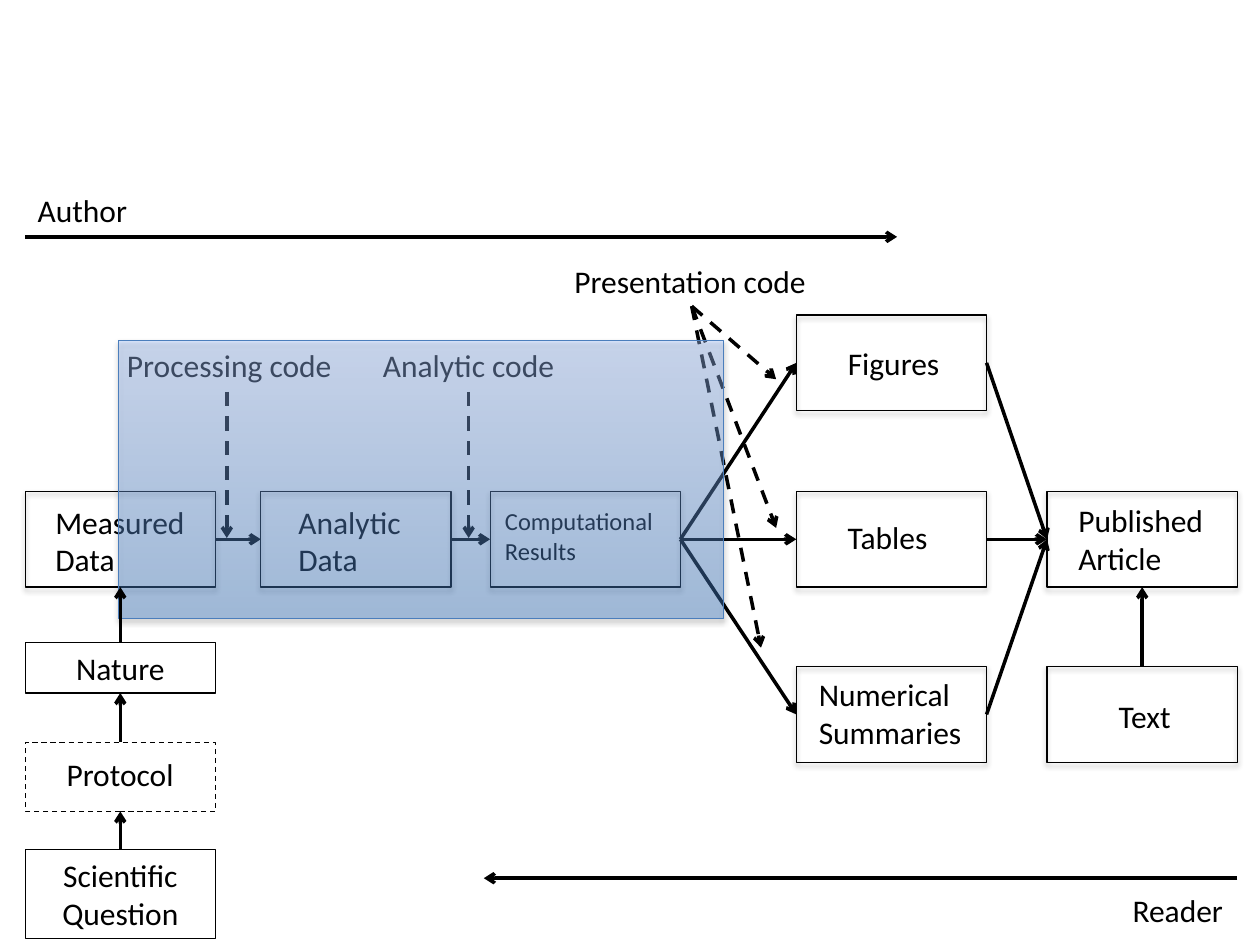
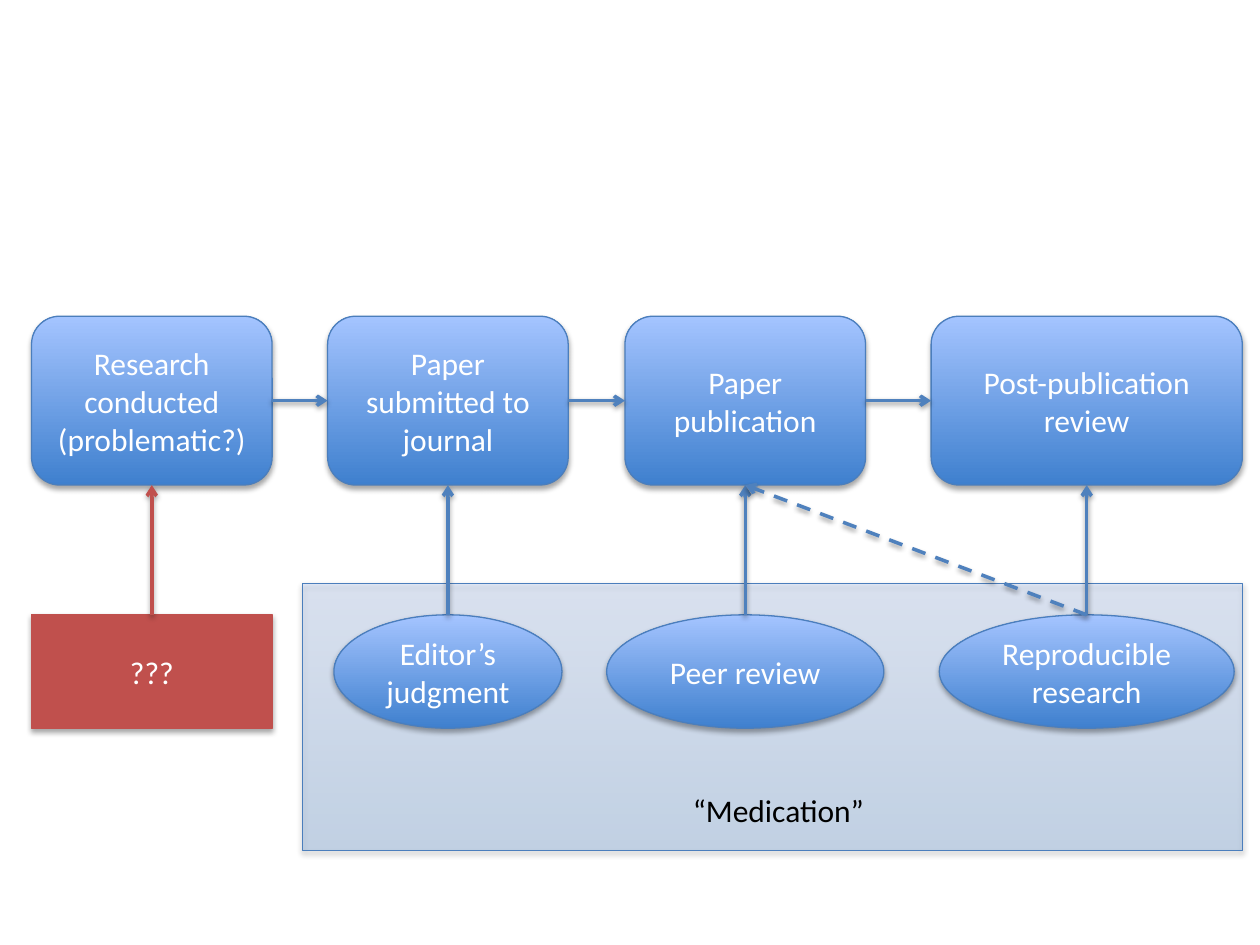
import pptx
import pptx.util
import pptx.dml.color
import pptx.enum.dml
import pptx.enum.shapes
import pptx.enum.text
import pptx.oxml.ns
from lxml import etree

Inches = pptx.util.Inches
Pt = pptx.util.Pt
RGBColor = pptx.dml.color.RGBColor
SHAPE = pptx.enum.shapes.MSO_SHAPE
ALIGN = pptx.enum.text.PP_ALIGN
qn = pptx.oxml.ns.qn

BLACK = RGBColor(0x00, 0x00, 0x00)
WHITE = RGBColor(0xFF, 0xFF, 0xFF)
BLUE = RGBColor(0x4F, 0x81, 0xBD)
BLUE_EDGE = RGBColor(0x4B, 0x7E, 0xBC)
RED = RGBColor(0xC0, 0x50, 0x4D)
GRADIENT = (RGBColor(0x3F, 0x80, 0xCE), RGBColor(0xA4, 0xC4, 0xFF))
FONT = "Calibri"
BLANK_LAYOUT = 6
EMU_PER_POINT = 12700


def add_shadow(effects, opacity, distance):
    """Put a soft black shadow, falling straight down, in an effect list."""
    shadow = etree.SubElement(
        effects, qn("a:outerShdw"), blurRad=str(round(3.1 * EMU_PER_POINT)),
        dist=str(round(distance * EMU_PER_POINT)), dir="5400000", rotWithShape="0")
    color = etree.SubElement(shadow, qn("a:srgbClr"), val=str(BLACK))
    etree.SubElement(color, qn("a:alpha"), val=str(opacity * 1000))


def write_text(frame, text, size=18, color=BLACK, align=ALIGN.LEFT):
    paragraph = frame.paragraphs[0]
    paragraph.text = text
    paragraph.alignment = align
    paragraph.font.size = Pt(size)
    paragraph.font.name = FONT
    paragraph.font.color.rgb = color


def add_label(slide, text, left, top, width, height=0.4, wrap=False, **text_format):
    text_box = slide.shapes.add_textbox(
        Inches(left), Inches(top), Inches(width), Inches(height))
    frame = text_box.text_frame
    frame.word_wrap = wrap
    frame.auto_size = pptx.enum.text.MSO_AUTO_SIZE.SHAPE_TO_FIT_TEXT
    write_text(frame, text, **text_format)


def fill_gradient(shape, opacity):
    """Shade a shape from dark blue at its foot to light blue at its top."""
    shape.fill.gradient()
    shape.fill.gradient_angle = 90
    for stop, color, position in zip(shape.fill.gradient_stops, GRADIENT, (0, 1)):
        stop.color.rgb = color
        stop.position = position
    if opacity < 100:
        for color in shape.fill._xPr.iter(qn("a:srgbClr")):
            etree.SubElement(color, qn("a:alpha"), val=str(opacity * 1000))


def add_box(slide, left, top, width, height, kind=SHAPE.RECTANGLE, fill=None,
            opacity=100, line=BLACK, dashed=False, shadow=True, text=None,
            text_color=BLACK):
    shape = slide.shapes.add_shape(
        kind, Inches(left), Inches(top), Inches(width), Inches(height))
    if fill is None:
        shape.fill.background()
    elif fill is GRADIENT:
        fill_gradient(shape, opacity)
    else:
        shape.fill.solid()
        shape.fill.fore_color.rgb = fill
    shape.line.color.rgb = line
    shape.line.width = Pt(0.75)
    if dashed:
        shape.line.dash_style = pptx.enum.dml.MSO_LINE.DASH
    shape.shadow.inherit = False
    if shadow:
        add_shadow(shape._element.spPr.find(qn("a:effectLst")), 35, 1.8)
    if text:
        shape.text_frame.word_wrap = True
        write_text(shape.text_frame, text, color=text_color, align=ALIGN.CENTER)


def add_arrow(slide, start, end, color=BLACK, dashed=False, shadow=False):
    arrow = slide.shapes.add_connector(
        pptx.enum.shapes.MSO_CONNECTOR.STRAIGHT,
        *(Inches(length) for length in (*start, *end)))
    arrow.line.color.rgb = color
    arrow.line.width = Pt(2)
    if dashed:
        arrow.line.dash_style = pptx.enum.dml.MSO_LINE.DASH
    etree.SubElement(arrow.line._get_or_add_ln(), qn("a:tailEnd"), type="arrow")
    effects = etree.SubElement(arrow._element.spPr, qn("a:effectLst"))
    if shadow:
        add_shadow(effects, 38, 1.6)


def build_pipeline(slide):
    box_width, box_height = 1.51, 0.76
    measured, analytic, results, outputs, article = 0.2, 2.07, 3.89, 6.32, 8.31
    figures_row, main_row, summaries_row = 2.5, 3.9, 5.29
    center = box_height / 2

    # Data, results and article boxes, each with its own caption place
    for left, top, text, caption, size in (
        (measured, main_row, "Measured Data", (0.34, 3.94, 1.32, 0.71), 18),
        (analytic, main_row, "Analytic Data", (2.27, 3.94, 1.16, 0.71), 18),
        (results, main_row, "Computational Results", (3.91, 3.97, 1.46, 0.57), 14),
        (outputs, main_row, "Tables", (6.63, 4.06, 0.94, 0.4), 18),
        (outputs, figures_row, "Figures", (6.63, 2.68, 1.05, 0.4), 18),
        (outputs, summaries_row, "Numerical Summaries", (6.4, 5.31, 1.46, 0.71), 18),
        (article, main_row, "Published Article", (8.46, 3.93, 1.26, 0.71), 18),
        (article, summaries_row, "Text", (8.78, 5.48, 0.84, 0.4), 18),
    ):
        add_box(slide, left, top, box_width, box_height)
        add_label(slide, text, *caption, wrap=True, size=size)

    # Flow from measured data to the published article
    middle = main_row + center
    for left, right in ((measured, analytic), (analytic, results)):
        add_arrow(slide, (left + box_width, middle), (right, middle))
    for row in (figures_row, main_row, summaries_row):
        add_arrow(slide, (results + box_width, middle), (outputs, row + center))
        add_arrow(slide, (outputs + box_width, row + center), (article, middle))
    text_center = article + box_width / 2
    add_arrow(slide, (text_center, summaries_row), (text_center, main_row + box_height))

    # Author and reader directions
    right_edge = article + box_width
    add_arrow(slide, (measured, 1.88), (7.12, 1.88))
    add_arrow(slide, (right_edge, 6.97), (3.84, 6.97))
    add_label(slide, "Author", 0.2, 1.47, 0.92)
    add_label(slide, "Reader", 8.89, 7.02, 0.93)

    # Code that drives each step
    add_label(slide, "Processing code", 0.91, 2.7, 1.84)
    add_label(slide, "Analytic code", 2.94, 2.7, 1.57)
    add_label(slide, "Presentation code", 4.46, 2.03, 2.06)
    for code_center in (1.8, 3.72):
        add_arrow(slide, (code_center, 3.11), (code_center, 4.27), dashed=True)
    for target in ((6.16, 3.01), (6.16, 4.19), (6.04, 5.14)):
        add_arrow(slide, (5.49, 2.43), target, dashed=True)

    # Highlighted reproducible part
    add_box(slide, 0.94, 2.7, 4.8, 2.21, fill=GRADIENT, opacity=39, line=BLUE_EDGE)

    # Origin of the data, from question up to nature
    source_center = measured + box_width / 2
    arrow_end = main_row + box_height
    for text, top, height, dashed in (
        ("Nature", 5.1, 0.4, False),
        ("Protocol", 5.89, 0.55, True),
        ("Scientific Question", 6.74, 0.71, False),
    ):
        add_box(slide, measured, top, box_width, height, dashed=dashed,
                shadow=False, text=None if dashed else text)
        if dashed:
            add_label(slide, text, 0.43, 5.94, 1.07)
        add_arrow(slide, (source_center, top), (source_center, arrow_end))
        arrow_end = top + height


def build_review_stages(slide):
    stage_top, stage_height = 2.51, 1.34
    remedy_top, remedy_height = 4.88, 0.9
    stage_bottom = stage_top + stage_height
    stage_middle = stage_top + stage_height / 2
    stages = (
        ("Research conducted (problematic?)", 0.25, 1.91),
        ("Paper submitted to journal", 2.6, 1.91),
        ("Paper publication", 4.96, 1.91),
        ("Post-publication review", 7.39, 2.47),
    )
    centers = [left + width / 2 for text, left, width in stages]
    blue_style = dict(fill=GRADIENT, line=BLUE_EDGE, text_color=WHITE)

    # Panel behind the remedies
    add_box(slide, 2.4, 4.63, 7.46, 2.12, fill=GRADIENT, opacity=24, line=BLUE_EDGE)
    add_label(slide, "“Medication”", 5.4, 6.23, 1.57)

    # Publication stages and the flow between them
    for text, left, width in stages:
        add_box(slide, left, stage_top, width, stage_height,
                kind=SHAPE.ROUNDED_RECTANGLE, text=text, **blue_style)
    for (text, left, width), (next_text, next_left, next_width) in zip(stages, stages[1:]):
        add_arrow(slide, (left + width, stage_middle), (next_left, stage_middle),
                  color=BLUE, shadow=True)

    # Unknown remedy for the first stage, known ones for the others
    add_box(slide, 0.25, remedy_top, 1.91, remedy_height, fill=RED, line=RED,
            text="???", text_color=WHITE)
    remedies = (("Editor’s judgment", 1.81), ("Peer review", 2.2),
                ("Reproducible research", 2.34))
    for (text, width), center in zip(remedies, centers[1:]):
        add_box(slide, center - width / 2, remedy_top, width, remedy_height,
                kind=SHAPE.OVAL, text=text, **blue_style)

    # Remedies acting on the stages
    for center, color in zip(centers, (RED, BLUE, BLUE, BLUE)):
        add_arrow(slide, (center, remedy_top), (center, stage_bottom),
                  color=color, shadow=True)
    add_arrow(slide, (centers[3], remedy_top), (centers[2], stage_bottom),
              color=BLUE, dashed=True, shadow=True)


def main():
    presentation = pptx.Presentation()
    presentation.slide_width = Inches(10)
    presentation.slide_height = Inches(7.5)
    for build in (build_pipeline, build_review_stages):
        build(presentation.slides.add_slide(presentation.slide_layouts[BLANK_LAYOUT]))
    presentation.save("out.pptx")


if __name__ == "__main__":
    main()
